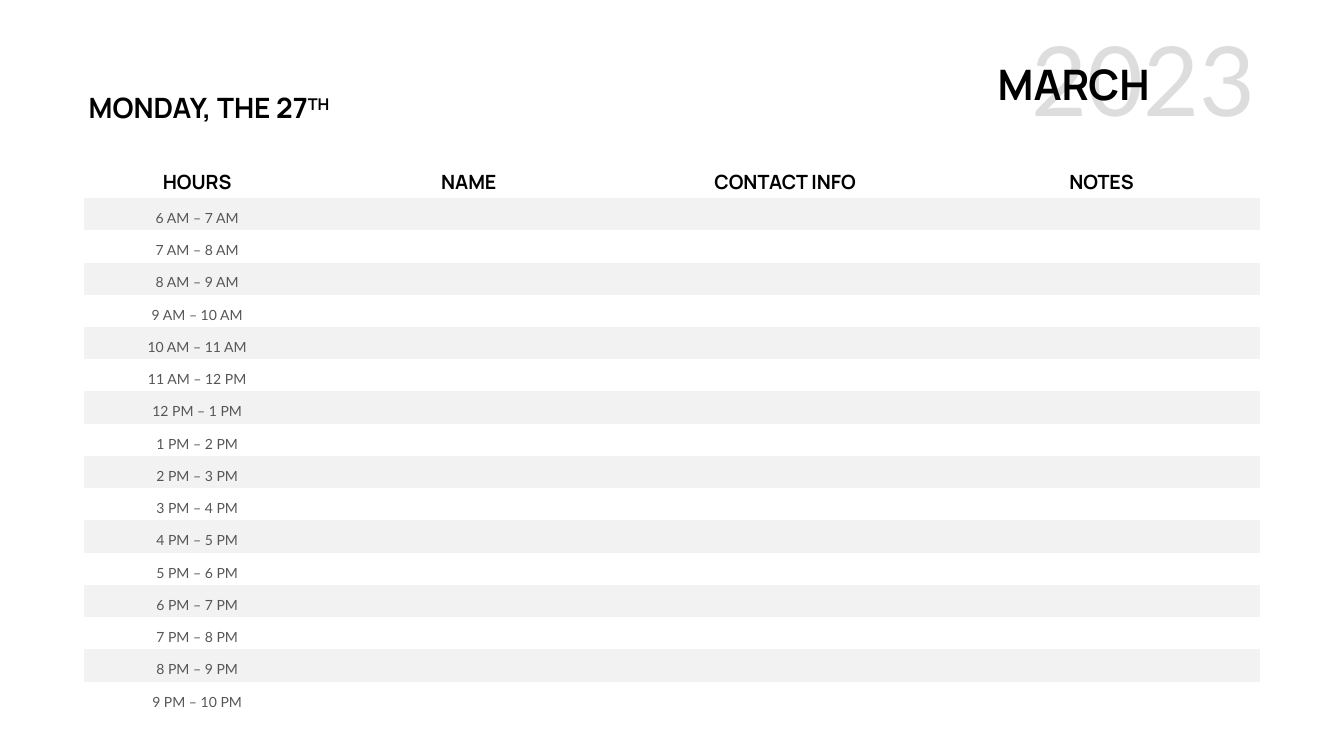
from lxml.etree import SubElement
from pptx import Presentation
from pptx.dml.color import RGBColor
from pptx.enum.text import MSO_ANCHOR as Anchor, MSO_AUTO_SIZE as AutoSize, PP_ALIGN as Align
from pptx.oxml.ns import qn
from pptx.util import Cm, Pt

# Content
YEAR, MONTH = "2023", "MARCH"
DAY, ORDINAL = "MONDAY, THE 27", "TH"
HEADINGS = ["HOURS", "NAME", "CONTACT INFO", "NOTES"]
FIRST_HOUR, LAST_HOUR = 6, 22

COLORS = {"ink": "000000", "grey": "565656", "band": "F2F2F2"}
TITLE_FONT, BODY_FONT = "Manrope", "Lato"
NO_STYLE_NO_GRID = "{2D5ABB26-0587-4C30-8999-92F81FD0307C}"

# Layout, in cm
SLIDE_W, SLIDE_H = 67.72, 38.1
LEFT, TABLE_TOP = 4.22, 8.33
COLUMN_WIDTHS = [11.43] + [15.94] * 3
HEADING_H, ROW_H = 1.65, 1.625


def color(name):
    return RGBColor.from_string(COLORS[name])


def clock(hour):
    return f"{(hour - 1) % 12 + 1} {'AM' if hour < 12 else 'PM'}"


def style(paragraph, size, font, ink, bold=False, align=Align.CENTER):
    paragraph.alignment = align
    paragraph.font.size = Pt(size)
    paragraph.font.name = font
    paragraph.font.bold = bold
    paragraph.font.color.rgb = color(ink)


def add_title(slide, box, text, margin=0, anchor=Anchor.TOP):
    frame = slide.shapes.add_textbox(*map(Cm, box)).text_frame
    frame.word_wrap = False
    frame.auto_size = AutoSize.SHAPE_TO_FIT_TEXT
    frame.vertical_anchor = anchor
    frame.margin_top = frame.margin_bottom = Cm(margin)
    paragraph = frame.paragraphs[0]
    paragraph.add_run().text = text
    return paragraph


prs = Presentation()
prs.slide_width, prs.slide_height = Cm(SLIDE_W), Cm(SLIDE_H)
slide = prs.slides.add_slide(prs.slide_layouts[6])

# Pale year behind the month
year = add_title(slide, (51.59, 0.86, 11.91, 6.15), YEAR, margin=0.13)
style(year, 138, BODY_FONT, "grey", align=Align.RIGHT)
for tint in year._p.iter(qn("a:srgbClr")):
    SubElement(tint, qn("a:alpha"), val="20000")

month = add_title(slide, (49.78, 2.95, 8.64, 2.82), MONTH)
style(month, 60, TITLE_FONT, "ink", bold=True)

# Hourly schedule
hours = [f"{clock(h)} – {clock(h + 1)}" for h in range(FIRST_HOUR, LAST_HOUR)]
schedule = slide.shapes.add_table(
    len(hours) + 1, len(HEADINGS), Cm(LEFT), Cm(TABLE_TOP),
    Cm(sum(COLUMN_WIDTHS)), Cm(HEADING_H + ROW_H * len(hours))).table
schedule.horz_banding = False
schedule._tbl.tblPr.find(qn("a:tableStyleId")).text = NO_STYLE_NO_GRID
for column, width in zip(schedule.columns, COLUMN_WIDTHS):
    column.width = Cm(width)

for r, row in enumerate(schedule.rows):
    row.height = Cm(ROW_H if r else HEADING_H)
    for cell in row.cells:
        if r % 2:
            cell.fill.solid()
            cell.fill.fore_color.rgb = color("band")
        else:
            cell.fill.background()

for c, heading in enumerate(HEADINGS):
    cell = schedule.cell(0, c)
    cell.text = heading
    cell.vertical_anchor = Anchor.BOTTOM
    style(cell.text_frame.paragraphs[0], 28, TITLE_FONT, "ink", bold=True)

for r, slot in enumerate(hours, start=1):
    cell = schedule.cell(r, 0)
    cell.text = slot
    paragraph = cell.text_frame.paragraphs[0]
    paragraph.line_spacing = Pt(37)
    style(paragraph, 20, BODY_FONT, "grey")

# Day with a raised ordinal
day = add_title(slide, (LEFT, 4.29, 13.87, 1.96), DAY, anchor=Anchor.BOTTOM)
ordinal = day.add_run()
ordinal.text = ORDINAL
ordinal._r.get_or_add_rPr().set("baseline", "30000")
style(day, 40, TITLE_FONT, "ink", bold=True, align=Align.LEFT)

prs.save("out.pptx")
